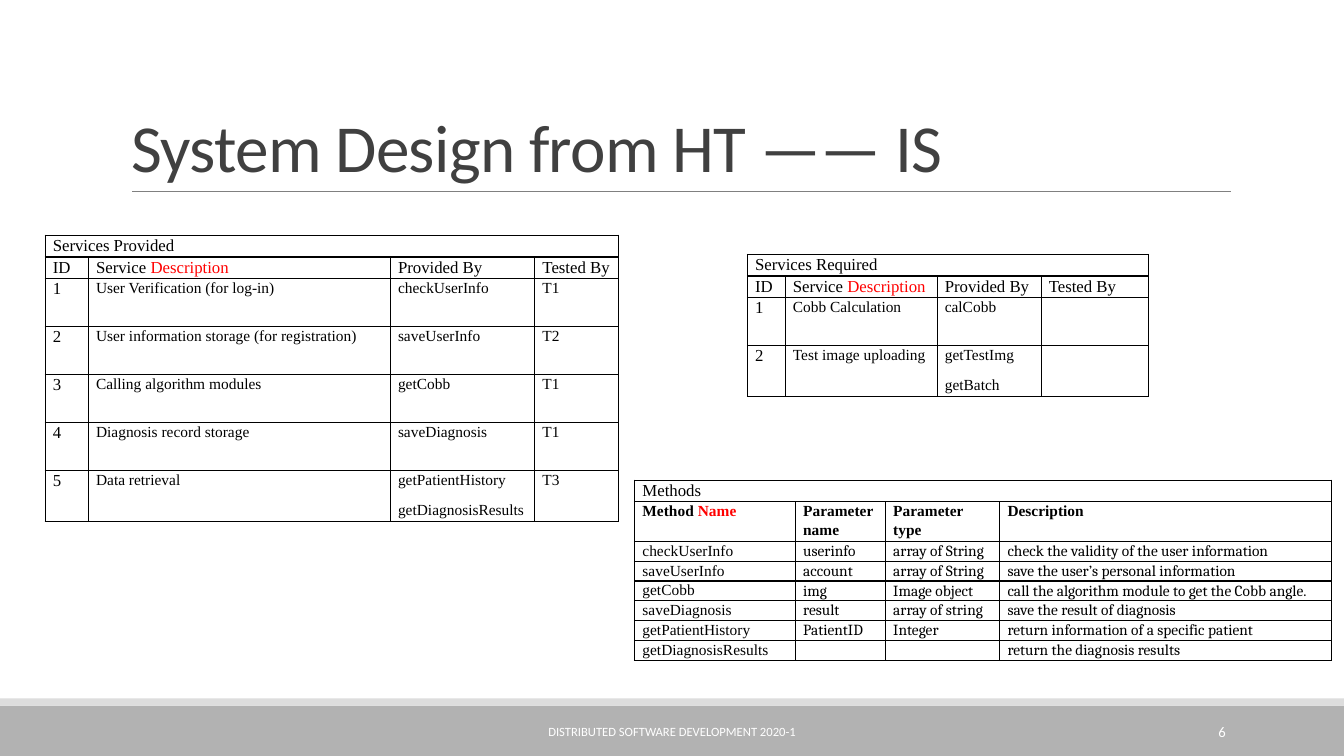
from dataclasses import dataclass

from lxml.etree import SubElement
from pptx import Presentation
from pptx.dml.color import RGBColor
from pptx.enum.shapes import MSO_CONNECTOR, MSO_SHAPE
from pptx.enum.text import MSO_ANCHOR, MSO_AUTO_SIZE, PP_ALIGN
from pptx.oxml.ns import qn
from pptx.util import Cm, Pt


@dataclass(frozen=True)
class Theme:
    ink: str = "000000"
    mark: str = "FF0000"
    title: str = "404040"
    rule: str = "808080"
    band: str = "B2B2B2"
    strip: str = "DDDDDD"
    light: str = "FFFFFF"
    sans: str = "Calibri"
    serif: str = "Times New Roman"
    book: str = "Cambria"
    head: float = 48
    large: float = 12
    small: float = 11
    page: float = 10.5
    foot: float = 9


THEME = Theme()
WIDE, HIGH = 33.87, 19.05

# Table text: "*" starts a red run, "\n" a paragraph, "\v" a line break
HEADS = ["ID", "Service *Description", "Provided By", "Tested By"]
GIVEN = [
    ["Services Provided", "", "", ""],
    HEADS,
    ["1", "User Verification (for log-in)", "checkUserInfo", "T1"],
    ["2", "User information storage (for registration)", "saveUserInfo", "T2"],
    ["3", "Calling algorithm modules", "getCobb", "T1"],
    ["4", "Diagnosis record storage", "saveDiagnosis", "T1"],
    ["5", "Data retrieval", "getPatientHistory\ngetDiagnosisResults", "T3"],
]
NEEDED = [
    ["Services Required", "", "", ""],
    HEADS,
    ["1", "Cobb Calculation", "calCobb", ""],
    ["2", "Test image uploading", "getTestImg\ngetBatch", ""],
]
METHODS = [
    ["Methods", "", "", ""],
    ["Method *Name", "Parameter\vname", "Parameter\vtype", "Description"],
    ["checkUserInfo", "userinfo", "array of String",
     "check the validity of the user information"],
    ["saveUserInfo", "account", "array of String",
     "save the user’s personal information"],
    ["getCobb", "img", "Image object",
     "call the algorithm module to get the Cobb angle."],
    ["saveDiagnosis", "result", "array of string",
     "save the result of diagnosis"],
    ["getPatientHistory", "PatientID", "Integer",
     "return information of a specific patient"],
    ["getDiagnosisResults", "", "", "return the diagnosis results"],
]


def color(code):
    return RGBColor.from_string(code)


def set_font(font, size, tint, name, bold=False):
    font.size, font.name, font.bold = Pt(size), name, bold
    font.color.rgb = color(tint)


def add_bar(slide, top, high, tint):
    bar = slide.shapes.add_shape(
        MSO_SHAPE.RECTANGLE, 0, Cm(top), Cm(WIDE), Cm(high))
    bar.shadow.inherit = False
    bar.fill.solid()
    bar.fill.fore_color.rgb = color(tint)
    bar.line.fill.background()


def add_rule(slide, left, right, top):
    rule = slide.shapes.add_connector(
        MSO_CONNECTOR.STRAIGHT, Cm(left), Cm(top), Cm(right), Cm(top))
    rule.line.color.rgb = color(THEME.rule)
    rule.line.width = Pt(0.5)
    SubElement(rule._element.spPr, qn("a:effectLst"))


def set_title(slide, text):
    title = slide.shapes.title
    title.left, title.top = Cm(3.05), Cm(0.79)
    title.width, title.height = Cm(27.94), Cm(4.04)
    frame = title.text_frame
    frame.text = text
    frame.word_wrap = True
    frame.auto_size = MSO_AUTO_SIZE.NONE
    frame.vertical_anchor = MSO_ANCHOR.BOTTOM
    para = frame.paragraphs[0]
    para.alignment, para.line_spacing = PP_ALIGN.LEFT, 0.85
    set_font(para.font, THEME.head, THEME.title, THEME.sans)
    para.runs[0].font._element.set("spc", "-50")


def add_foot(slide, text, left, wide, size, align):
    box = slide.shapes.add_textbox(Cm(left), Cm(17.94), Cm(wide), Cm(1.01))
    frame = box.text_frame
    frame.word_wrap = True
    frame.vertical_anchor = MSO_ANCHOR.MIDDLE
    para = frame.paragraphs[0]
    para.text, para.alignment = text, align
    set_font(para.font, size, THEME.light, THEME.sans)


def add_edges(cell):
    props = cell._tc.get_or_add_tcPr()
    for side in ("lnL", "lnR", "lnT", "lnB"):
        line = SubElement(props, qn(f"a:{side}"), w=str(Pt(1)))
        fill = SubElement(line, qn("a:solidFill"))
        SubElement(fill, qn("a:srgbClr"), val=THEME.ink)


def fill_cell(cell, text, pad, size, name, bold):
    add_edges(cell)
    cell.fill.background()
    cell.margin_left = cell.margin_right = Cm(pad)
    cell.margin_top = cell.margin_bottom = 0
    frame = cell.text_frame
    for num, line in enumerate(text.split("\n")):
        para = frame.add_paragraph() if num else frame.paragraphs[0]
        para.line_spacing, para.space_after = 1.07, Pt(8)
        set_font(para.font, size, THEME.ink, name, bold)
        if not line:
            # Keep an empty cell as low as its row
            end = SubElement(para._p, qn("a:endParaRPr"))
            end.set("sz", str(size * 100))
        elif "*" in line:
            plain, marked = line.split("*")
            para.add_run().text = plain
            run = para.add_run()
            run.text = marked
            run.font.color.rgb = color(THEME.mark)
        else:
            para.text = line


def add_grid(slide, data, left, top, cols, rows, pad, style):
    table = slide.shapes.add_table(
        len(data), len(cols), Cm(left), Cm(top),
        Cm(sum(cols)), Cm(sum(rows))).table
    table.first_row = table.horz_banding = False
    for col, wide in zip(table.columns, cols):
        col.width = Cm(wide)
    for row, high in zip(table.rows, rows):
        row.height = Cm(high)
    for r, line in enumerate(data):
        for c, text in enumerate(line):
            fill_cell(table.cell(r, c), text, pad, *style(r, c))
    table.cell(0, 0).merge(table.cell(0, len(cols) - 1))


def service(row, col):
    size = THEME.large if row < 2 or col == 0 else THEME.small
    return size, THEME.serif, False


def method(row, col):
    size = THEME.small if row else THEME.large
    name = THEME.book if row > 1 and col else THEME.serif
    return size, name, row == 1


def main():
    deck = Presentation()
    deck.slide_width, deck.slide_height = Cm(WIDE), Cm(HIGH)
    slide = deck.slides.add_slide(deck.slide_layouts[5])

    # Frame of the slide
    add_bar(slide, 17.78, 1.27, THEME.band)
    add_bar(slide, 17.6, 0.18, THEME.strip)
    add_rule(slide, 3.33, 31.01, 4.83)
    set_title(slide, "System Design from HT —— IS")
    add_foot(slide, "DISTRIBUTED SOFTWARE DEVELOPMENT 2020-1",
             10.24, 13.39, THEME.foot, PP_ALIGN.CENTER)
    add_foot(slide, "6", 27.51, 3.63, THEME.page, PP_ALIGN.RIGHT)

    # Services and methods
    add_grid(slide, GIVEN, 1.14, 5.93, [1.09, 7.61, 3.64, 2.11],
             [0.5] * 2 + [1.21] * 5, 0.19, service)
    add_grid(slide, NEEDED, 18.84, 6.41, [0.95, 3.83, 2.62, 2.7],
             [0.5] * 2 + [1.21] * 2, 0.19, service)
    add_grid(slide, METHODS, 15.99, 12.1, [4.05, 2.27, 2.88, 8.37],
             [0.5, 0.92] + [0.48] * 6, 0.2, method)

    deck.save("out.pptx")


if __name__ == "__main__":
    main()
